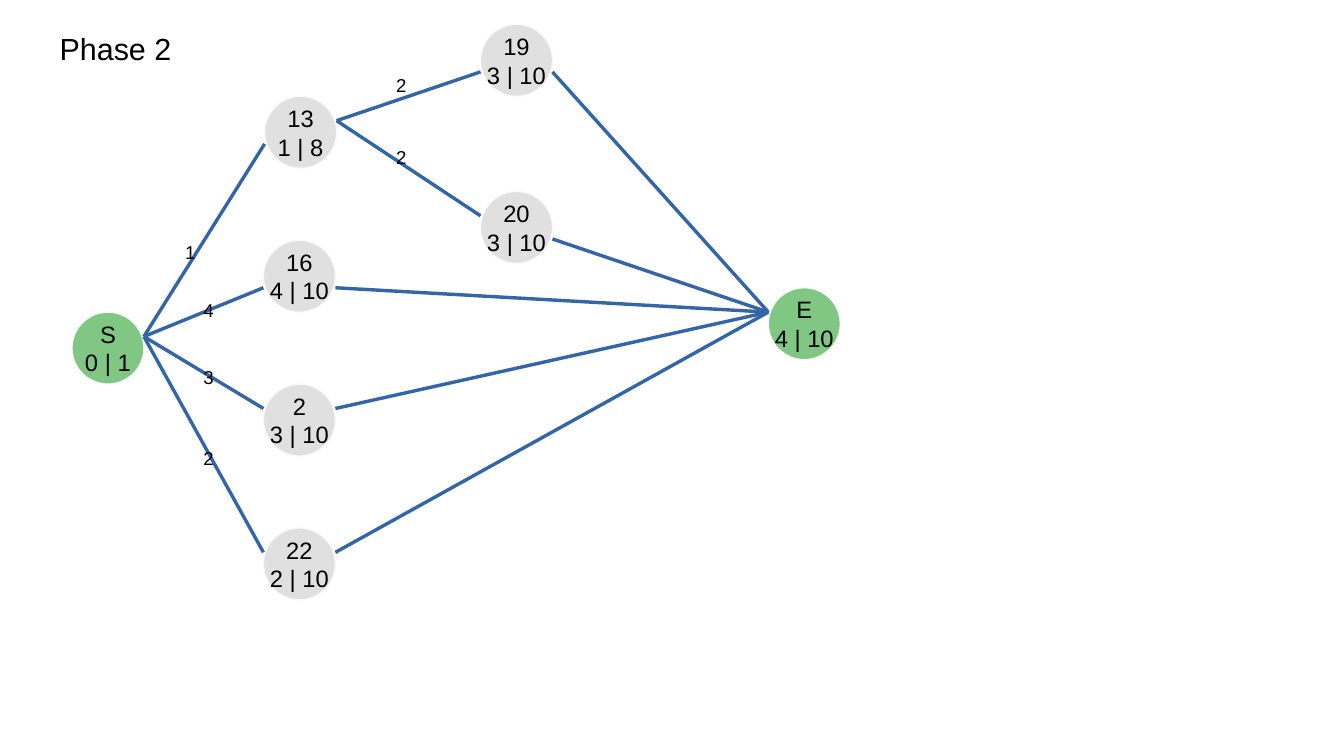
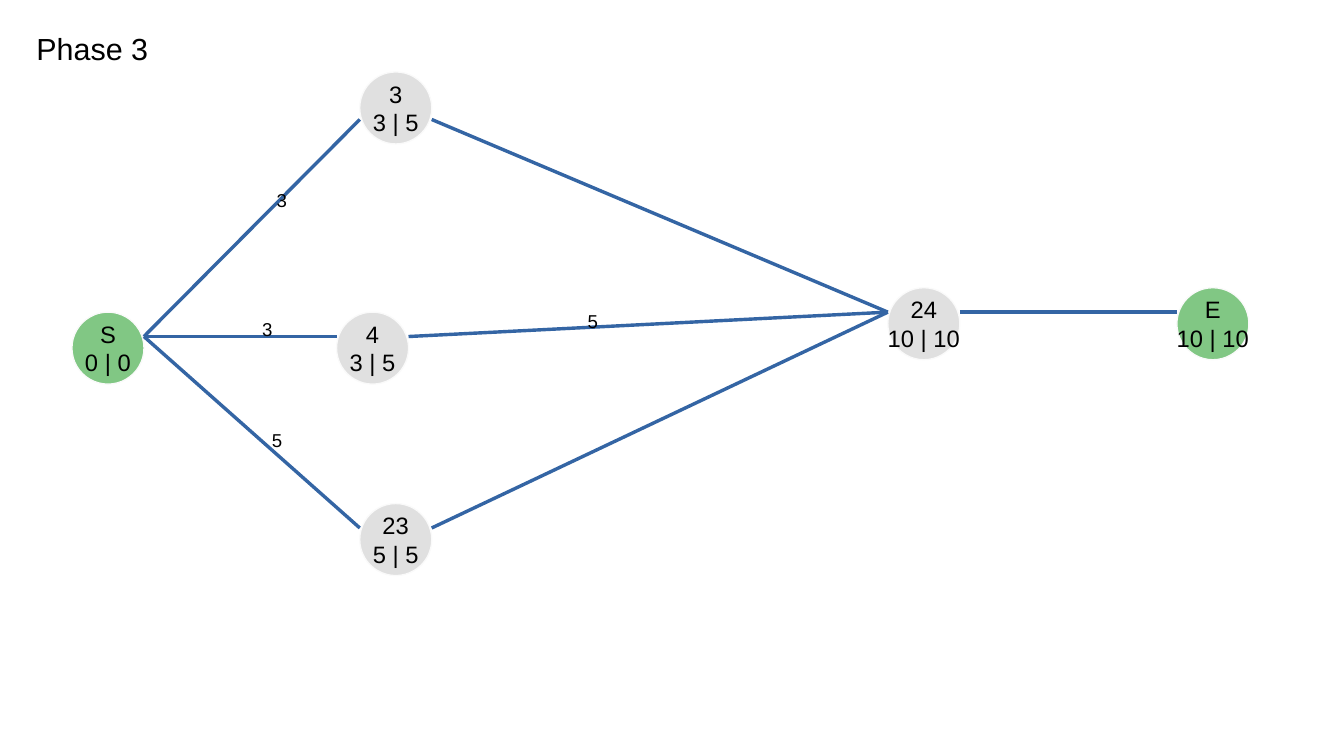
from pptx import Presentation
from pptx.dml.color import RGBColor
from pptx.enum.shapes import MSO_CONNECTOR, MSO_SHAPE
from pptx.enum.text import MSO_ANCHOR, MSO_AUTO_SIZE, PP_ALIGN
from pptx.oxml.ns import qn
from pptx.util import Inches, Pt
from lxml import etree

OVAL = MSO_SHAPE.OVAL
STRAIGHT = MSO_CONNECTOR.STRAIGHT
MIDDLE = MSO_ANCHOR.MIDDLE
GROW = MSO_AUTO_SIZE.SHAPE_TO_FIT_TEXT
LEFT, CENTER = PP_ALIGN.LEFT, PP_ALIGN.CENTER

COLORS = {
    "terminal": "81C784",
    "step": "E0E0E0",
    "outline": "FAFAFA",
    "edge": "3465A4",
    "text": "000000",
}
FONT = "Arial"
NODE_SIZE = 0.59
HIGH, LOW = 0.2, 0.39  # drop from the top of a node to where its edges attach

# Nodes: name -> (times, left, top, drop of incoming edges, drop of outgoing edges)
# Edges: (start, end)
# Weights: (text, left, top)
PHASES = [
    {
        "title": ("Phase 2", 0.39, 1.77),
        "nodes": {
            "S": ("0 | 1", 0.59, 2.56, HIGH, HIGH),
            "13": ("1 | 8", 2.17, 0.79, LOW, HIGH),
            "16": ("4 | 10", 2.16, 1.97, LOW, LOW),
            "2": ("3 | 10", 2.16, 3.15, HIGH, HIGH),
            "22": ("2 | 10", 2.16, 4.33, HIGH, HIGH),
            "19": ("3 | 10", 3.94, 0.2, LOW, LOW),
            "20": ("3 | 10", 3.94, 1.57, HIGH, LOW),
            "E": ("4 | 10", 6.3, 2.36, HIGH, HIGH),
        },
        "edges": [
            ("S", "13"), ("S", "16"), ("S", "2"), ("S", "22"),
            ("13", "19"), ("13", "20"),
            ("19", "E"), ("20", "E"), ("16", "E"), ("2", "E"), ("22", "E"),
        ],
        "weights": [
            ("1", 1.42, 1.93), ("4", 1.57, 2.4), ("3", 1.57, 2.95),
            ("2", 1.57, 3.62), ("2", 3.15, 0.56), ("2", 3.15, 1.15),
        ],
    },
    {
        "title": ("Phase 3", 0.2, 2.36),
        "nodes": {
            "S": ("0 | 0", 0.59, 2.56, HIGH, HIGH),
            "3": ("3 | 5", 2.95, 0.59, LOW, LOW),
            "4": ("3 | 5", 2.76, 2.56, HIGH, HIGH),
            "24": ("10 | 10", 7.28, 2.36, HIGH, HIGH),
            "E": ("10 | 10", 9.65, 2.36, HIGH, HIGH),
            "23": ("5 | 5", 2.95, 4.13, HIGH, HIGH),
        },
        "edges": [
            ("S", "3"), ("S", "4"), ("S", "23"),
            ("3", "24"), ("4", "24"), ("23", "24"), ("24", "E"),
        ],
        "weights": [
            ("5", 4.72, 2.49), ("3", 2.17, 1.5),
            ("3", 2.05, 2.56), ("5", 2.13, 3.47),
        ],
    },
]


def write(frame, text, size, align=LEFT, wrap=True):
    """Fill a text frame, one paragraph for each line of the text."""
    frame.word_wrap = wrap
    frame.text = text
    for para in frame.paragraphs:
        para.alignment = align
        for span in para.runs:
            span.font.name = FONT
            span.font.size = Pt(size)
            span.font.color.rgb = RGBColor.from_string(COLORS["text"])


def add_label(page, text, left, top, width, height, size):
    box = page.shapes.add_textbox(
        Inches(left), Inches(top), Inches(width), Inches(height))
    write(box.text_frame, text, size)
    box.text_frame.auto_size = GROW


deck = Presentation()
deck.slide_width, deck.slide_height = Inches(11.02), Inches(6.2)

for phase in PHASES:
    page = deck.slides.add_slide(deck.slide_layouts[6])
    nodes = phase["nodes"]

    for name, (times, left, top, _, _) in nodes.items():
        node = page.shapes.add_shape(
            OVAL, Inches(left), Inches(top), Inches(NODE_SIZE), Inches(NODE_SIZE))
        node.shadow.inherit = False
        node.fill.solid()
        kind = "terminal" if name in ("S", "E") else "step"
        node.fill.fore_color.rgb = RGBColor.from_string(COLORS[kind])
        node.line.color.rgb = RGBColor.from_string(COLORS["outline"])
        node.line.width = Pt(0)
        node.text_frame.vertical_anchor = MIDDLE
        write(node.text_frame, f"{name}\n{times}", 14, align=CENTER, wrap=False)

    for start, end in phase["edges"]:
        _, start_left, start_top, _, drop_out = nodes[start]
        _, end_left, end_top, drop_in, _ = nodes[end]
        edge = page.shapes.add_connector(
            STRAIGHT,
            Inches(start_left + NODE_SIZE), Inches(start_top + drop_out),
            Inches(end_left), Inches(end_top + drop_in))
        edge.line.color.rgb = RGBColor.from_string(COLORS["edge"])
        edge.line.width = Pt(0)
        etree.SubElement(edge._element.spPr, qn("a:effectLst"))

    for weight, left, top in phase["weights"]:
        add_label(page, weight, left, top, 0.39, 0.27, 11)

    title, left, width = phase["title"]
    add_label(page, title, left, 0.2, width, 0.38, 18)

deck.save("out.pptx")
